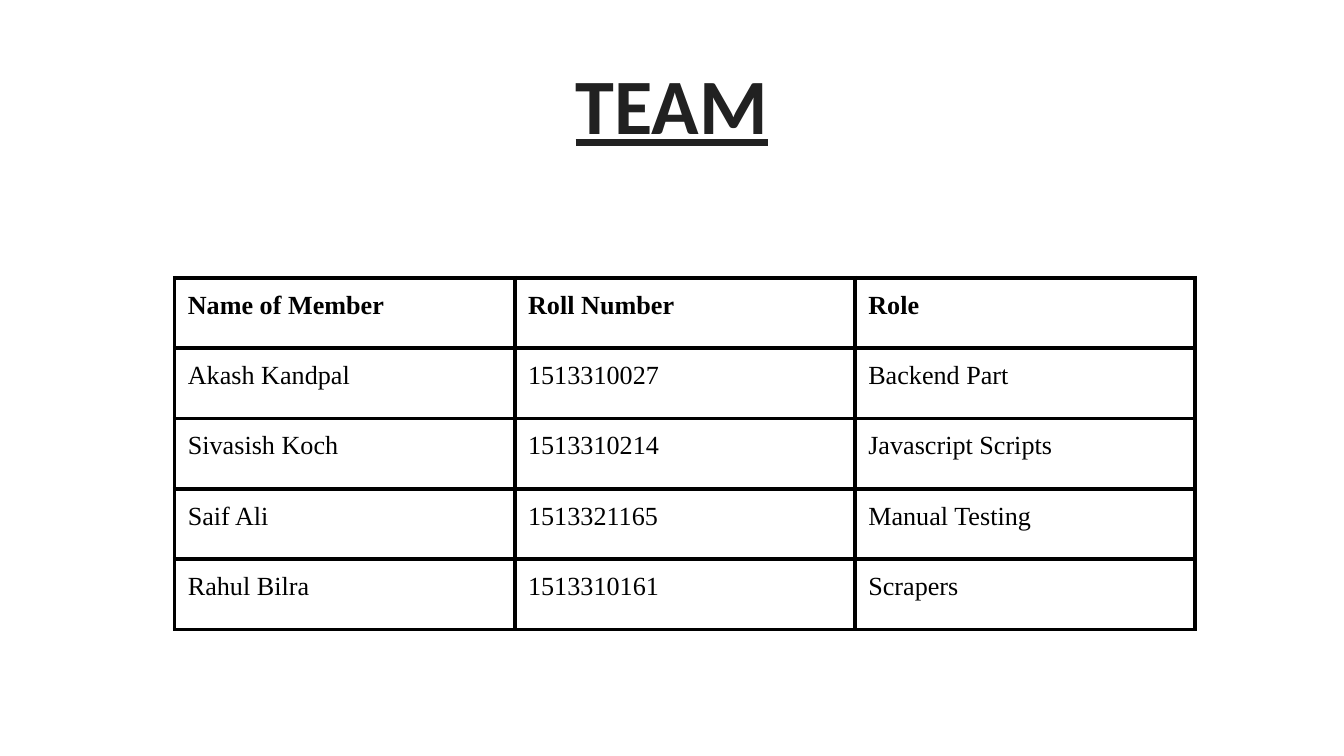
from dataclasses import dataclass

from lxml import etree
from pptx import Presentation
from pptx import util as u
from pptx.dml.color import RGBColor
from pptx.enum import text
from pptx.oxml import ns


@dataclass(frozen=True)
class Theme:
    ink: str = "212121"
    grid: str = "000000"
    title_font: str = "Calibri"
    table_font: str = "Times New Roman"
    title_size: float = 42
    table_size: float = 14
    border: float = 2.25
    inset: float = 0.25


class TeamSlide:
    """Draws the elements of one slide in a shared theme."""

    def __init__(self, deck, theme):
        self.theme = theme
        self.slide = deck.slides.add_slide(deck.slide_layouts[6])

    def add_wording(self, paragraph, wording, color, **formats):
        run = paragraph.add_run()
        run.text = wording
        run.font.color.rgb = RGBColor.from_string(color)
        for name, value in formats.items():
            setattr(run.font, name, value)

    def pad(self, holder):
        for side in ("left", "top", "right", "bottom"):
            setattr(holder, f"margin_{side}", u.Cm(self.theme.inset))

    def title(self, wording, left, top, width, height):
        heading = self.slide.shapes.add_textbox(*map(u.Cm, (left, top, width, height))).text_frame
        heading.word_wrap = True
        heading.vertical_anchor = text.MSO_ANCHOR.TOP
        self.pad(heading)
        heading.paragraphs[0].alignment = text.PP_ALIGN.CENTER
        self.add_wording(heading.paragraphs[0], wording, self.theme.ink,
                         name=self.theme.title_font, size=u.Pt(self.theme.title_size),
                         bold=True, underline=True)

    def outline(self, cell):
        properties = cell._tc.get_or_add_tcPr()
        for position, side in enumerate(("lnL", "lnR", "lnT", "lnB")):
            edge = etree.Element(ns.qn(f"a:{side}"), w=str(u.Pt(self.theme.border)))
            ink = etree.SubElement(edge, ns.qn("a:solidFill"))
            etree.SubElement(ink, ns.qn("a:srgbClr"), val=self.theme.grid)
            properties.insert(position, edge)

    def table(self, rows, left, top, column_width, row_height):
        size = len(rows), len(rows[0])
        members = self.slide.shapes.add_table(
            *size, u.Cm(left), u.Cm(top),
            u.Cm(column_width * size[1]), u.Cm(row_height * size[0])).table
        members.horz_banding = False
        for column in members.columns:
            column.width = u.Cm(column_width)
        for row_index, row in enumerate(rows):
            members.rows[row_index].height = u.Cm(row_height)
            for column_index, wording in enumerate(row):
                cell = members.cell(row_index, column_index)
                cell.fill.background()
                self.pad(cell)
                self.outline(cell)
                self.add_wording(cell.text_frame.paragraphs[0], wording, self.theme.grid,
                                 name=self.theme.table_font, size=u.Pt(self.theme.table_size),
                                 bold=row_index == 0)


def main():
    deck = Presentation()
    deck.slide_width, deck.slide_height = u.Cm(25.4), u.Cm(14.29)
    team = TeamSlide(deck, Theme())
    team.title("TEAM", 0.86, 0.81, 23.67, 2.24)
    team.table([
        ("Name of Member", "Roll Number", "Role"),
        ("Akash Kandpal", "1513310027", "Backend Part"),
        ("Sivasish Koch", "1513310214", "Javascript Scripts"),
        ("Saif Ali", "1513321165", "Manual Testing"),
        ("Rahul Bilra", "1513310161", "Scrapers"),
    ], left=3.3, top=5.25, column_width=6.43, row_height=1.33)
    deck.save("out.pptx")


if __name__ == "__main__":
    main()
